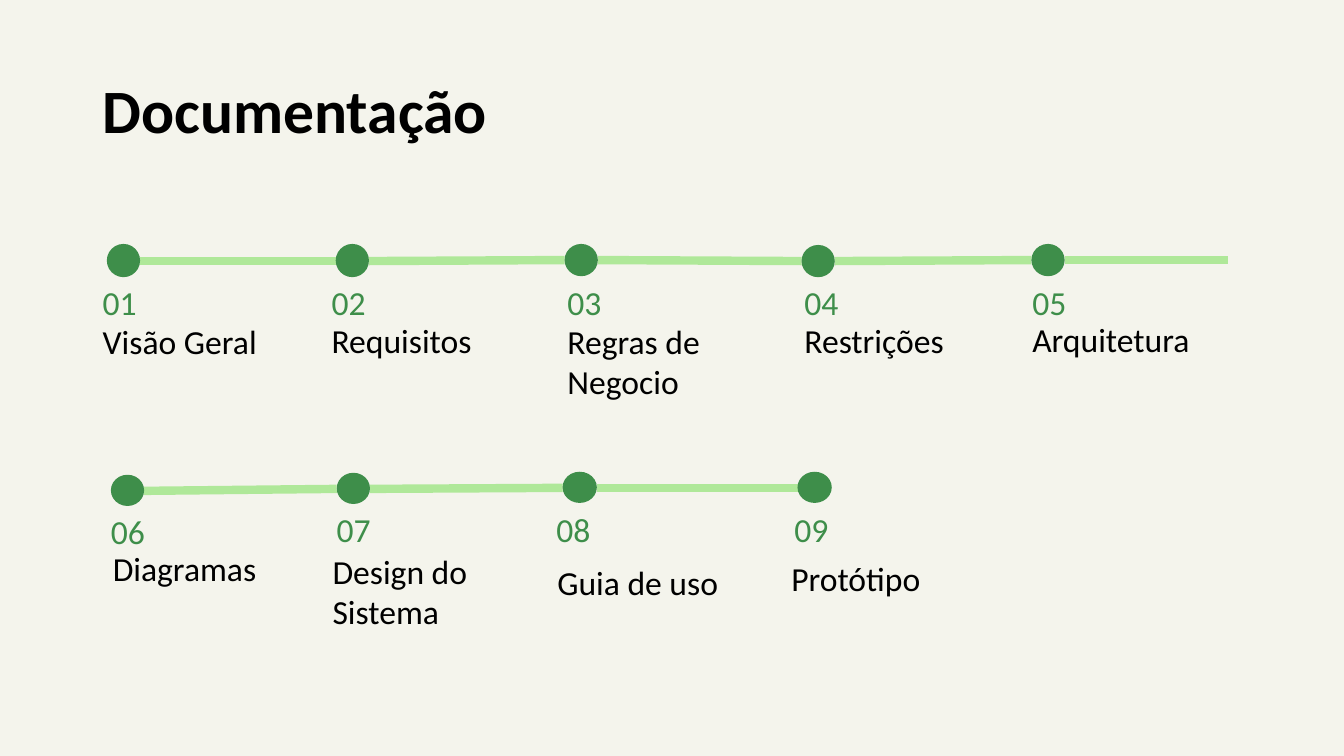
from itertools import pairwise

from lxml import etree
from pptx import Presentation
from pptx import util as u
from pptx.dml.color import RGBColor
from pptx.enum import shapes, text
from pptx.oxml.ns import qn

CREAM = RGBColor(0xF4, 0xF4, 0xEC)
GREEN = RGBColor(0x3E, 0x8E, 0x4A)
LIGHT_GREEN = RGBColor(0xAF, 0xE8, 0x99)
BLACK = RGBColor(0, 0, 0)

# number, label, dot box, number box, label box
FIRST_ROW = [
    ("01", "Visão Geral", (106, 242, 33, 33), (92, 285, 98, 29), (92, 314, 227, 48)),
    ("02", "Requisitos", (333, 242, 33, 33), (319, 285, 98, 29), (319, 319, 201, 37)),
    ("03", "Regras de Negocio", (560, 242, 33, 32), (553, 285, 98, 29), (553, 340, 208, 37)),
    ("04", "Restrições", (795, 243, 33, 32), (788, 285, 108, 29), (788, 323, 201, 29)),
    ("05", "Arquitetura", (1023, 242, 33, 32), (1014, 285, 98, 29), (1014, 318, 227, 37)),
]
SECOND_ROW = [
    ("06", "Diagramas", (110, 471, 33, 31), (100, 512, 108, 29), (102, 545, 201, 37)),
    ("07", "Design do Sistema", (334, 469, 33, 31), (324, 510, 82, 29), (320, 568, 176, 37)),
    ("08", "Guia de uso", (558, 468, 34, 31), (542, 510, 69, 29), (543, 559, 207, 37)),
    ("09", "Protótipo", (791, 468, 34, 31), (778, 510, 64, 29), (775, 555, 186, 37)),
]


class Timeline:
    """Draws timeline elements on one page, measured in px of 1/100 inch."""

    SCALE = 9144
    FONT = "Calibri"

    def __init__(self, deck):
        self.page = deck.slides.add_slide(deck.slide_layouts[6])
        self.page.background.fill.solid()
        self.page.background.fill.fore_color.rgb = CREAM

    def emu(self, *lengths):
        return [u.Emu(length * self.SCALE) for length in lengths]

    def label(self, words, place, color=BLACK, size=24, bold=False, margin=10, spacing=1.0):
        frame = self.page.shapes.add_textbox(*self.emu(*place)).text_frame
        frame.word_wrap = True
        frame.vertical_anchor = text.MSO_ANCHOR.MIDDLE
        frame.margin_left, frame.margin_right = self.emu(10, 10)
        frame.margin_top, frame.margin_bottom = self.emu(margin, margin)
        para = frame.paragraphs[0]
        para.text = words
        para.line_spacing = spacing
        para.font.name = self.FONT
        para.font.size = u.Pt(size)
        para.font.bold = bold
        para.font.color.rgb = color

    def dot(self, place):
        oval = self.page.shapes.add_shape(shapes.MSO_SHAPE.OVAL, *self.emu(*place))
        oval.shadow.inherit = False
        oval.fill.solid()
        oval.fill.fore_color.rgb = GREEN
        oval.line.fill.background()

    def line(self, start, end):
        link = self.page.shapes.add_connector(
            shapes.MSO_CONNECTOR.STRAIGHT, *self.emu(*start, *end))
        link.line.color.rgb = LIGHT_GREEN
        link.line.width = u.Pt(6)
        etree.SubElement(link._element.spPr, qn("a:effectLst"))

    def row(self, steps):
        for before, after in pairwise(step[2] for step in steps):
            self.line(self.right_of(before), self.left_of(after))
        for number, name, dot, number_place, name_place in steps:
            self.dot(dot)
            self.label(number, number_place, GREEN)
            self.label(name, name_place)

    @staticmethod
    def left_of(dot):
        left, top, width, height = dot
        return left, top + (height + 1) // 2

    @classmethod
    def right_of(cls, dot):
        left, middle = cls.left_of(dot)
        return left + dot[2], middle


def main():
    deck = Presentation()
    deck.slide_width, deck.slide_height = u.Inches(13.33), u.Inches(7.5)
    timeline = Timeline(deck)
    timeline.label("Documentação", (92, 40, 1150, 145),
                   size=44, bold=True, margin=5, spacing=0.9)
    timeline.row(FIRST_ROW)
    timeline.line(timeline.right_of(FIRST_ROW[-1][2]), (1218, 258))
    timeline.row(SECOND_ROW)
    deck.save("out.pptx")


if __name__ == "__main__":
    main()
